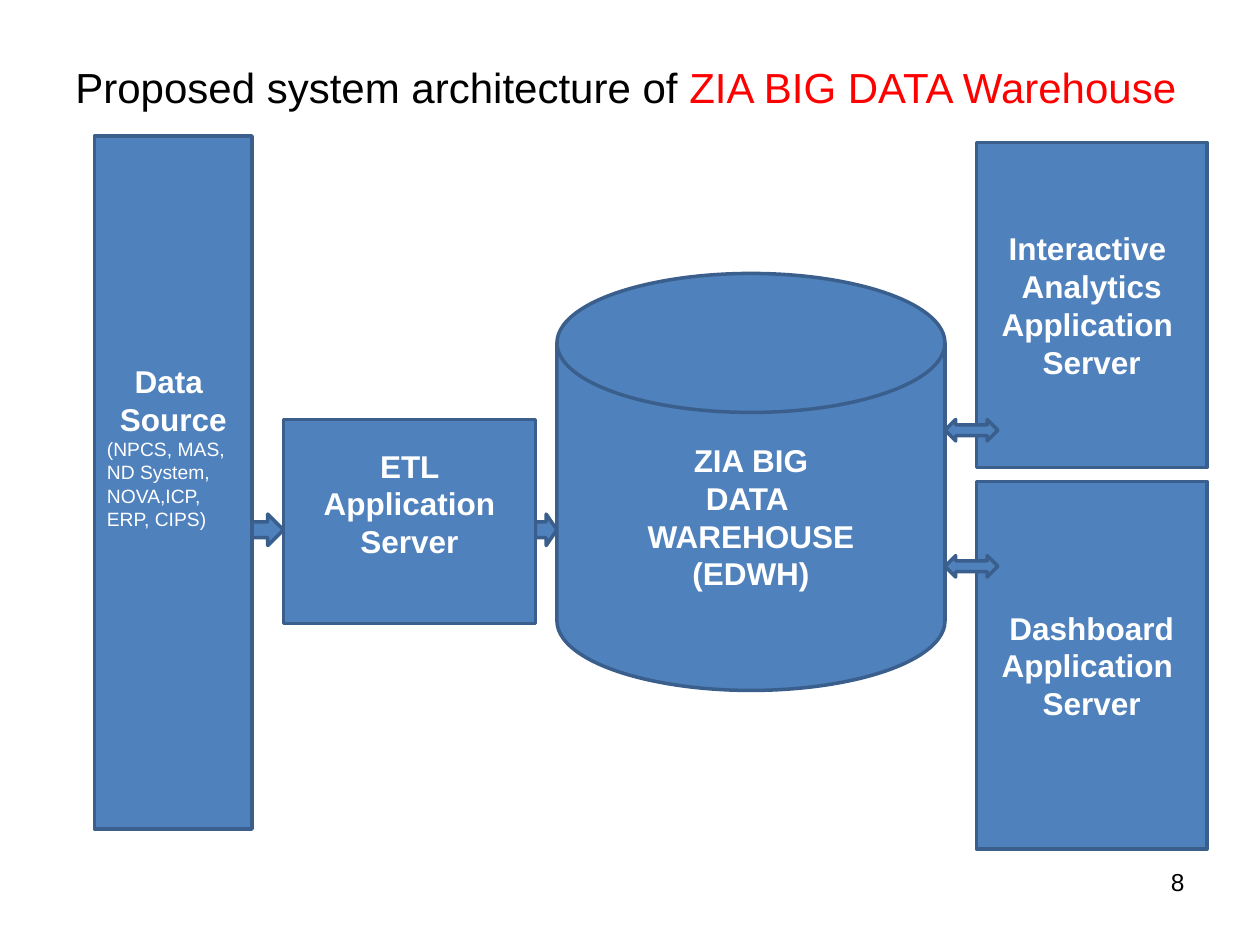
from pptx import Presentation
from pptx.dml.color import RGBColor
from pptx.enum.shapes import MSO_SHAPE as Kind
from pptx.enum.text import MSO_ANCHOR as Anchor, PP_ALIGN as Align
from pptx.util import Inches, Pt

BLUE = RGBColor(0x4F, 0x81, 0xBD)
EDGE = RGBColor(0x3A, 0x5F, 0x8C)
WHITE = RGBColor(255, 255, 255)
BLACK = RGBColor(0, 0, 0)
RED = RGBColor(255, 0, 0)

deck = Presentation()
deck.slide_width, deck.slide_height = Inches(10), Inches(7.5)
slide = deck.slides.add_slide(deck.slide_layouts[6])


def write(para, text, size=18, color=WHITE, bold=True, align=Align.CENTER):
    para.alignment = align
    run = para.add_run()
    run.text = text
    font = run.font
    font.name, font.size, font.bold = "Arial", Pt(size), bold
    font.color.rgb = color


def draw(kind, left, top, width, height):
    shape = slide.shapes.add_shape(
        kind, Inches(left), Inches(top), Inches(width), Inches(height))
    shape.shadow.inherit = False
    shape.fill.solid()
    shape.fill.fore_color.rgb = BLUE
    shape.line.color.rgb = EDGE
    shape.line.width = Pt(2)
    return shape


# Title
title = slide.shapes.add_textbox(
    Inches(0.5), Inches(0.3), Inches(9), Inches(0.78)).text_frame
title.word_wrap = True
title.vertical_anchor = Anchor.MIDDLE
for text, color in (("Proposed system architecture of ", BLACK),
                    ("ZIA BIG DATA Warehouse", RED)):
    write(title.paragraphs[0], text, size=24, color=color, bold=False,
          align=Align.LEFT)

# Slide number
number = slide.shapes.add_textbox(
    Inches(7.17), Inches(6.83), Inches(2.33), Inches(0.52)).text_frame
number.word_wrap = True
write(number.paragraphs[0], "8", size=14, color=BLACK, bold=False,
      align=Align.RIGHT)

# Arrows into and out of the ETL server
for left, width in ((2, 0.25), (4.25, 0.17)):
    draw(Kind.RIGHT_ARROW, left, 4.08, width, 0.25)

# Systems: kind, place, bottom inset, headings, small notes
SYSTEMS = (
    (Kind.RECTANGLE, (0.75, 1.08, 1.25, 5.5), 0.63, ("Data ", "Source"),
     ("(NPCS, MAS,", "ND System, NOVA,ICP, ERP, CIPS)")),
    (Kind.RECTANGLE, (2.25, 3.33, 2, 1.62), 0.34,
     ("ETL Application", "Server"), ()),
    (Kind.RECTANGLE, (7.75, 1.13, 1.83, 2.58), 0.05,
     ("Interactive ", "Analytics", "Application ", "Server"), ()),
    (Kind.RECTANGLE, (7.75, 3.82, 1.83, 2.92), 0.05,
     ("Dashboard", "Application ", "Server"), ()),
    (Kind.FLOWCHART_MAGNETIC_DISK, (4.42, 2.17, 3.08, 3.31), 0.05,
     ("ZIA BIG", "DATA ", "WAREHOUSE", "(EDWH)"), ()),
)
for kind, place, inset, heads, notes in SYSTEMS:
    frame = draw(kind, *place).text_frame
    frame.word_wrap = True
    frame.vertical_anchor = Anchor.MIDDLE
    frame.margin_bottom = Inches(inset)
    for i, text in enumerate(heads):
        para = frame.add_paragraph() if i else frame.paragraphs[0]
        write(para, text)
    for text in notes:
        write(frame.add_paragraph(), text, size=11, bold=False,
              align=Align.LEFT)

# Two-way arrows to the application servers
for top in (3.33, 4.41):
    draw(Kind.LEFT_RIGHT_ARROW, 7.5, top, 0.42, 0.17)

deck.save("out.pptx")
